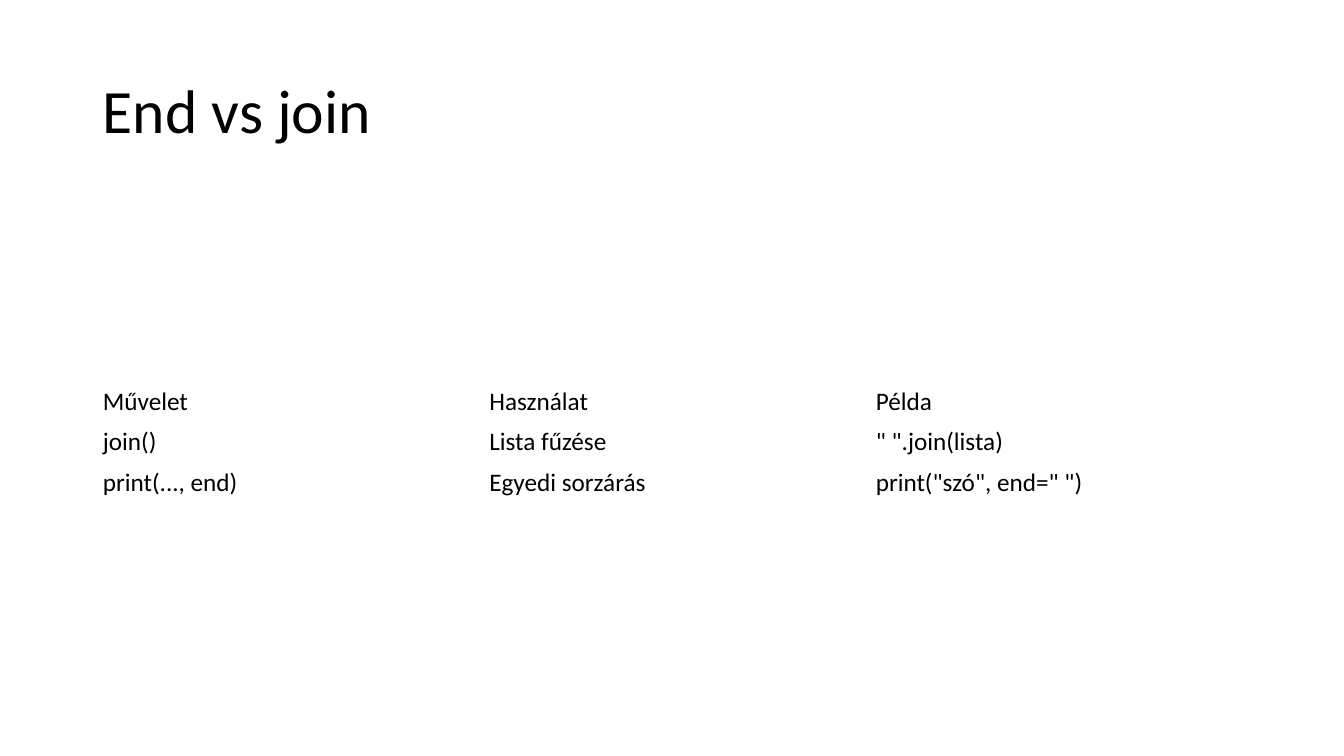
from pptx import Presentation
from pptx.dml.color import RGBColor
from pptx.enum.text import MSO_ANCHOR, PP_ALIGN
from pptx.util import Inches, Pt

COLORS = {"text": "000000", "background": "FFFFFF"}
FONT = "Calibri"
ROWS = [
    ["Művelet", "Használat", "Példa"],
    ["join()", "Lista fűzése", '" ".join(lista)'],
    ["print(..., end)", "Egyedi sorzárás", 'print("szó", end=" ")'],
]


def write(tf, text, size=18, color="text", spacing=1.0):
    p = tf.paragraphs[0]
    p.alignment = PP_ALIGN.LEFT
    p.line_spacing = spacing
    r = p.add_run()
    r.text = text
    r.font.name = FONT
    r.font.size = Pt(size)
    r.font.bold = False
    r.font.color.rgb = RGBColor.from_string(COLORS[color])


prs = Presentation()
prs.slide_width = Inches(13.33)
prs.slide_height = Inches(7.5)
s = prs.slides.add_slide(prs.slide_layouts[5])
s.background.fill.solid()
s.background.fill.fore_color.rgb = RGBColor.from_string(COLORS["background"])

title = s.shapes.title
title.left, title.top = Inches(0.92), Inches(0.4)
title.width, title.height = Inches(11.5), Inches(1.45)
title.text_frame.vertical_anchor = MSO_ANCHOR.MIDDLE
write(title.text_frame, "End vs join", size=44, spacing=0.9)

table = s.shapes.add_table(
    len(ROWS), len(ROWS[0]), Inches(0.92), Inches(3.78), Inches(11.5), Inches(1.2)
).table
table.first_row = False
table.horz_banding = False
for row, texts in zip(table.rows, ROWS):
    for cell, text in zip(row.cells, texts):
        cell.fill.background()
        cell.vertical_anchor = MSO_ANCHOR.MIDDLE
        write(cell.text_frame, text)

prs.save("out.pptx")
